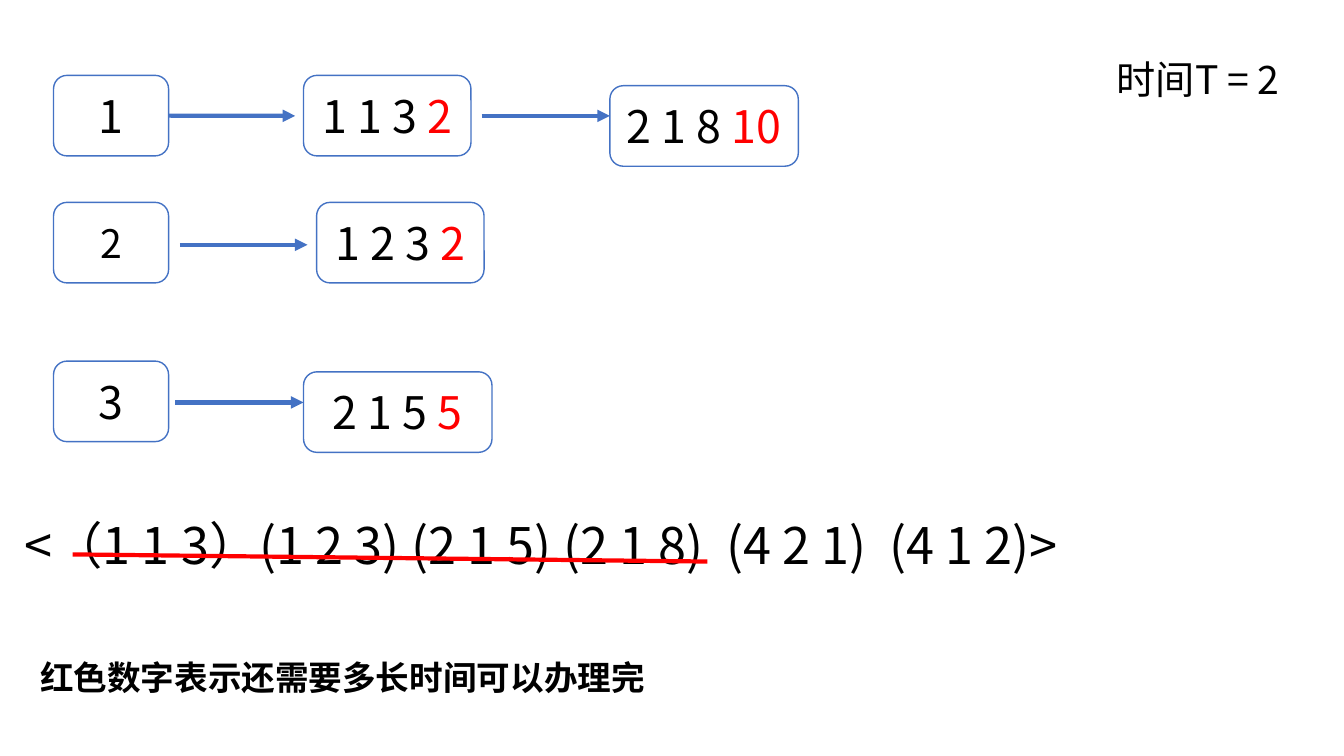
"""Draw the counter queues at time T = 2 with the remaining service times."""
from dataclasses import dataclass

from lxml import etree
from pptx import Presentation
from pptx import util as u
from pptx.dml.color import RGBColor
from pptx.enum import shapes, text
from pptx.oxml.ns import qn

COLOURS = {"ink": "000000", "paper": "FFFFFF", "queue": "4472C4", "remaining": "FF0000"}
FONT = "Noto Sans CJK SC"
BOX_HEIGHT = 2.03
LINE_SPACING = 0.83


@dataclass(frozen=True)
class Box:
    left: float
    top: float
    width: float
    label: str
    remaining: str = ""
    size: int = 32


@dataclass(frozen=True)
class Line:
    start: tuple[float, float]
    end: tuple[float, float]
    colour: str = "queue"
    arrow: bool = True


@dataclass(frozen=True)
class Note:
    left: float
    top: float
    width: float
    height: float
    wording: str
    size: int
    bold: bool = False


WINDOWS = [
    Box(1.35, 1.9, 2.9, "1"),
    Box(1.35, 5.1, 2.9, "2", size=28),
    Box(1.35, 9.1, 2.9, "3"),
]
CUSTOMERS = [
    Box(7.65, 1.9, 4.22, "1 1 3 ", "2 "),
    Box(7.98, 5.1, 4.22, "1 2 3 ", "2"),
    Box(7.65, 9.37, 4.75, "2 1 5 ", "5"),
    Box(15.37, 2.16, 4.75, "2 1 8 ", "10"),
]
FIRST_ARROW = Line((4.25, 2.92), (7.44, 2.92))
OTHER_LINES = [
    Line((4.53, 6.17), (7.75, 6.17)),
    Line((4.42, 10.14), (7.65, 10.14)),
    Line((12.14, 2.92), (15.37, 2.92)),
    Line((1.83, 13.97), (17.83, 14.15), "remaining", arrow=False),
]
CLOCK = Note(27.89, 1.47, 4.75, 1.45, "时间T = 2", 28)
NOTES = [
    Note(0.36, 13.08, 27.05, 1.8, "<（1 1 3）(1 2 3) (2 1 5) (2 1 8)  (4 2 1)  (4 1 2)>", 36),
    Note(0.76, 16.61, 15.9, 1.27, "红色数字表示还需要多长时间可以办理完", 24, bold=True),
]


def rgb(name: str) -> RGBColor:
    """Return the named colour."""
    return RGBColor.from_string(COLOURS[name])


def add_run(paragraph, wording: str, size: int, colour: str = "ink", bold: bool = False) -> None:
    """Append one formatted run."""
    run = paragraph.add_run()
    run.text = wording
    run.font.size = u.Pt(size)
    run.font.bold = bold
    run.font.name = FONT
    run.font.color.rgb = rgb(colour)
    east_asian = etree.SubElement(run.font._element, qn("a:ea"))
    east_asian.set("typeface", FONT)


def draw_box(slide, box: Box):
    """Draw a rounded box with its label and remaining time."""
    card = slide.shapes.add_shape(
        shapes.MSO_SHAPE.ROUNDED_RECTANGLE,
        u.Cm(box.left), u.Cm(box.top), u.Cm(box.width), u.Cm(BOX_HEIGHT),
    )
    card.shadow.inherit = False
    card.fill.solid()
    card.fill.fore_color.rgb = rgb("paper")
    card.line.color.rgb = rgb("queue")
    card.line.width = u.Pt(1)
    card.text_frame.vertical_anchor = text.MSO_ANCHOR.MIDDLE
    paragraph = card.text_frame.paragraphs[0]
    paragraph.alignment = text.PP_ALIGN.CENTER
    add_run(paragraph, box.label, box.size)
    if box.remaining:
        add_run(paragraph, box.remaining, box.size, "remaining")
    return card


def draw_line(slide, line: Line):
    """Draw a straight line, with an arrowhead if asked for."""
    link = slide.shapes.add_connector(
        shapes.MSO_CONNECTOR.STRAIGHT, *map(u.Cm, line.start + line.end)
    )
    link.line.color.rgb = rgb(line.colour)
    link.line.width = u.Pt(3)
    if line.arrow:
        etree.SubElement(link.line._get_or_add_ln(), qn("a:tailEnd")).set("type", "triangle")
    etree.SubElement(link._element.spPr, qn("a:effectLst"))
    return link


def write_note(holder, note: Note) -> None:
    """Place a text holder and write the note in it."""
    holder.left, holder.top = u.Cm(note.left), u.Cm(note.top)
    holder.width, holder.height = u.Cm(note.width), u.Cm(note.height)
    frame = holder.text_frame
    frame.word_wrap = True
    frame.auto_size = text.MSO_AUTO_SIZE.SHAPE_TO_FIT_TEXT
    frame.vertical_anchor = text.MSO_ANCHOR.TOP
    paragraph = frame.paragraphs[0]
    paragraph.alignment = text.PP_ALIGN.LEFT
    paragraph.line_spacing = LINE_SPACING
    add_run(paragraph, note.wording, note.size, bold=note.bold)


def main() -> None:
    """Build the slide and save it."""
    deck = Presentation()
    deck.slide_width, deck.slide_height = u.Cm(33.87), u.Cm(19.05)
    slide = deck.slides.add_slide(deck.slide_layouts[5])
    write_note(slide.shapes.title, CLOCK)
    first_window, *_ = [draw_box(slide, box) for box in WINDOWS + CUSTOMERS]
    for note in NOTES:
        write_note(slide.shapes.add_textbox(0, 0, 0, 0), note)
    draw_line(slide, FIRST_ARROW).begin_connect(first_window, 3)
    for line in OTHER_LINES:
        draw_line(slide, line)
    deck.save("out.pptx")


if __name__ == "__main__":
    main()
